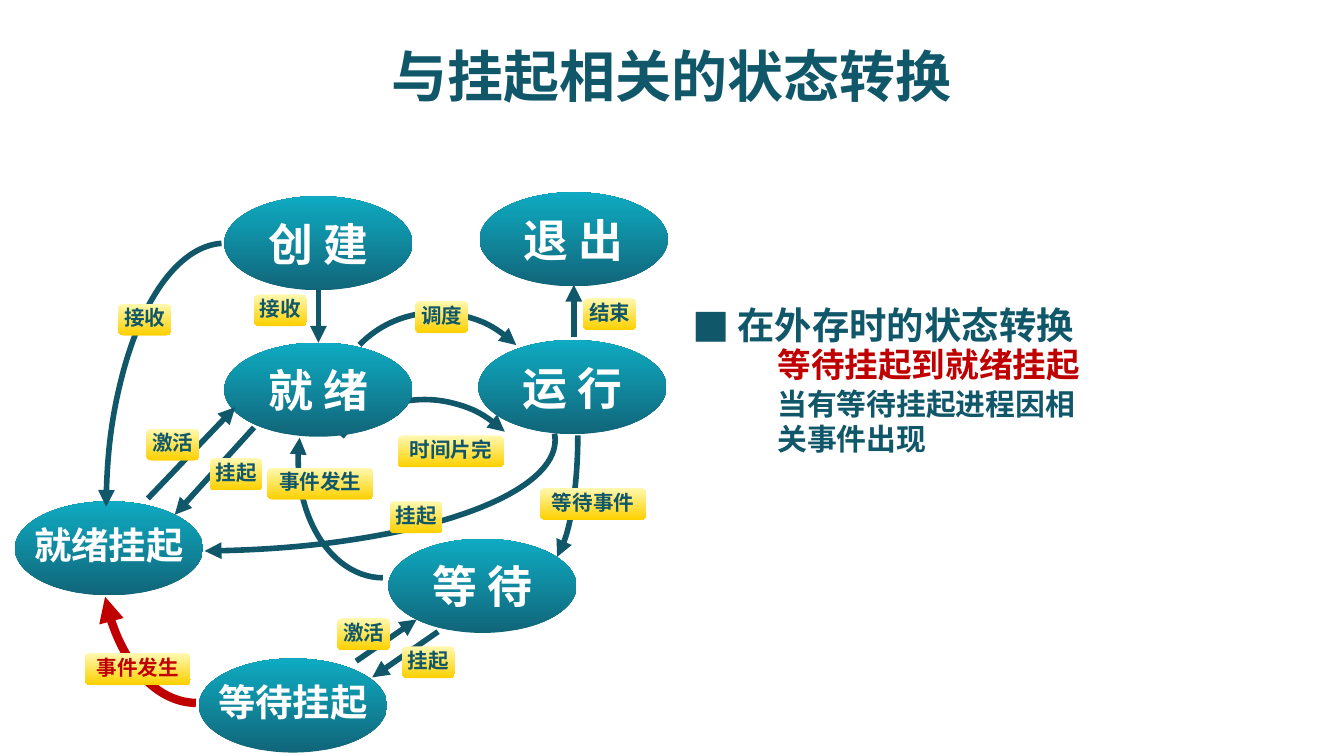
from dataclasses import dataclass

from lxml import etree
from pptx import Presentation
from pptx.dml.color import RGBColor
from pptx.enum.shapes import MSO_CONNECTOR, MSO_SHAPE
from pptx.enum.text import MSO_ANCHOR, MSO_AUTO_SIZE, PP_ALIGN
from pptx.oxml.ns import qn
from pptx.util import Pt

ARC, OVAL, ROUND = MSO_SHAPE.ARC, MSO_SHAPE.OVAL, MSO_SHAPE.ROUNDED_RECTANGLE
STRAIGHT = MSO_CONNECTOR.STRAIGHT
CENTER, LEFT = PP_ALIGN.CENTER, PP_ALIGN.LEFT
MIDDLE, TOP = MSO_ANCHOR.MIDDLE, MSO_ANCHOR.TOP


@dataclass(frozen=True)
class Theme:
    font: str = "Noto Sans CJK SC"
    bullet_font: str = "Noto Sans CJK JP"
    ink: str = "11576A"
    accent: str = "C00000"
    white: str = "FFFFFF"
    state_fill: tuple = ((0, "116579"), (77, "0F9BB1"), (100, "0EABC2"))
    label_fill: tuple = ((0, "FFF9B1"), (100, "FDD000"))
    title: int = 30
    state: int = 24
    long_state: int = 20
    heading: int = 20
    subheading: int = 18
    body: int = 16
    label: int = 11
    line: float = 3
    thick_line: float = 4.5


T = Theme()

# State name, left, top
STATE_W, STATE_H = 100.8, 50.4
STATES = [
    ("创 建", 112.2, 2.1), ("就 绪", 112.2, 80.6), ("运 行", 248.3, 79.2),
    ("等 待", 200.1, 185.7), ("退 出", 249, 0),
    ("就绪挂起", 0, 165.6), ("等待挂起", 98.6, 249.8),
]

# Box, start and end adjustments, rotation, flips, arrow end, colour, width
BACK_ARCS = [
    ((265.6, 59.7, 36, 141.1), (0.08, 50.35), 0, "", "tailEnd", T.ink, T.line),
    ((161.2, 110.1, 120.2, 123.8), (160.58, 215.56), 314, "", "tailEnd", T.ink, T.line),
    ((169.8, 63.3, 116.6, 121), (162, 0), 314, "", "tailEnd", T.ink, T.line),
]
FRONT_ARCS = [
    ((-98.7, 73.4, 388.1, 118.8), (215.38, 50.37), 0, "", "tailEnd", T.ink, T.line),
    ((151.8, 79.9, 90.7, 126.7), (207.14, 54), 0, "H", "headEnd", T.ink, T.line),
    ((46, 111.6, 103, 162), (15.68, 53.78), 0, "H", "headEnd", T.accent, T.thick_line),
    ((48.9, 27.3, 127.4, 284.4), (0.54, 53.54), 0, "HV", "headEnd", T.ink, T.line),
]

# Straight transitions: x and y of the start, x and y of the arrow tip
ARROWS = [
    (162.6, 52.5, 162.6, 80.6), (299.4, 77.7, 299.4, 49.6),
    (226.7, 235.4, 191.4, 259.9), (182.8, 251.2, 215.2, 228.9),
    (71.2, 164.1, 118, 115.2), (128.1, 126, 85.6, 172.8),
]

# Label text, left, top, colour
LABEL_CHAR_W, LABEL_H = 14.2, 17
LABELS = [
    ("挂起", 200.8, 165.6, T.ink), ("接收", 55.4, 59.7, T.ink),
    ("事件发生", 37.4, 246.9, T.accent), ("接收", 128.1, 54.7, T.ink),
    ("激活", 70.5, 126.7, T.ink), ("挂起", 104.3, 142.5, T.ink),
    ("事件发生", 135.3, 147.6, T.ink), ("激活", 172.7, 228.2, T.ink),
    ("挂起", 207.3, 243.3, T.ink), ("等待事件", 281.4, 158.4, T.ink),
    ("时间片完", 205.1, 130.3, T.ink), ("调度", 214.5, 58.3, T.ink),
    ("结束", 304.5, 56.8, T.ink),
]

# Text, size, colour, left margin, line height, space before
NOTES = [
    ("在外存时的状态转换", T.heading, T.ink, 24, 24, 0),
    ("等待挂起到就绪挂起", T.subheading, T.accent, 45.5, 19.8, 0),
    ("当有等待挂起进程因相关事件出现", T.body, T.ink, 45.5, 18.8, 1.3),
]


def add_run(p, text, size, color):
    r = p.add_run()
    r.text = text
    r.font.size, r.font.bold, r.font.name = Pt(size), True, T.font
    r.font.color.rgb = RGBColor.from_string(color)
    etree.SubElement(r.font._element, qn("a:ea"), typeface=T.font)


def setup_frame(tf, anchor, wrap, bottom=0):
    tf.auto_size, tf.word_wrap, tf.vertical_anchor = MSO_AUTO_SIZE.NONE, wrap, anchor
    tf.margin_left = tf.margin_right = tf.margin_top = 0
    tf.margin_bottom = Pt(bottom)


def place(sp, box):
    sp.left, sp.top, sp.width, sp.height = map(Pt, box)


def set_gradient(sp, stops, angle):
    sp.fill.gradient()
    sp.fill.gradient_angle = angle
    gs_list = next(sp._element.spPr.iter(qn("a:gsLst")))
    gs_list[:] = []
    for pos, color in stops:
        gs = etree.SubElement(gs_list, qn("a:gs"), pos=str(pos * 1000))
        etree.SubElement(gs, qn("a:srgbClr"), val=color)


def style_line(line, color, width, end):
    line.color.rgb = RGBColor.from_string(color)
    line.width = Pt(width)
    etree.SubElement(line._get_or_add_ln(), qn(f"a:{end}"), type="triangle")


def add_block(s, kind, box, text, size, color, stops, angle, bottom):
    sp = s.shapes.add_shape(kind, *map(Pt, box))
    sp.shadow.inherit = False
    sp.line.fill.background()
    set_gradient(sp, stops, angle)
    setup_frame(sp.text_frame, MIDDLE, False, bottom)
    p = sp.text_frame.paragraphs[0]
    p.alignment = CENTER
    add_run(p, text, size, color)


def add_arc(s, x, y, arc):
    (left, top, w, h), angles, rotation, flips, end, color, width = arc
    sp = s.shapes.add_shape(ARC, Pt(x + left), Pt(y + top), Pt(w), Pt(h))
    sp.shadow.inherit = False
    sp.fill.background()
    sp.rotation = rotation
    sp.adjustments[0], sp.adjustments[1] = angles
    for axis in flips:
        sp._element.spPr.xfrm.set(f"flip{axis}", "1")
    style_line(sp.line, color, width, end)


def add_arrow(s, x, y, arrow):
    x1, y1, x2, y2 = arrow
    cxn = s.shapes.add_connector(STRAIGHT, Pt(x + x1), Pt(y + y1), Pt(x + x2), Pt(y + y2))
    style_line(cxn.line, T.ink, T.line, "tailEnd")
    etree.SubElement(cxn._element.spPr, qn("a:effectLst"))


def build_title(s, box):
    sp = s.shapes.title
    place(sp, box)
    setup_frame(sp.text_frame, MIDDLE, True)
    p = sp.text_frame.paragraphs[0]
    p.alignment = CENTER
    add_run(p, "与挂起相关的状态转换", T.title, T.ink)


def build_notes(s, box):
    sp = s.placeholders[1]
    place(sp, box)
    tf = sp.text_frame
    setup_frame(tf, TOP, True)
    for i, (text, size, color, margin, height, before) in enumerate(NOTES):
        p = tf.paragraphs[0] if i == 0 else tf.add_paragraph()
        p.alignment, p.line_spacing = LEFT, Pt(height)
        p.space_before, p.space_after = Pt(before), Pt(0)
        add_run(p, text, size, color)
        # Only the heading carries a square bullet
        pPr = p._p.get_or_add_pPr()
        pPr.set("marL", str(Pt(margin)))
        pPr.set("indent", str(Pt(0 if i else -margin)))
        if i:
            etree.SubElement(pPr, qn("a:buNone"))
        else:
            etree.SubElement(pPr, qn("a:buFont"), typeface=T.bullet_font)
            etree.SubElement(pPr, qn("a:buChar"), char="■")


def build_diagram(s, box):
    x, y = box[:2]
    for arc in BACK_ARCS:
        add_arc(s, x, y, arc)
    # States
    for name, left, top in STATES:
        long = len(name) > 3
        add_block(s, OVAL, (x + left, y + top, STATE_W, STATE_H), name,
                  T.long_state if long else T.state, T.white, T.state_fill, 90, 4 if long else 0)
    # Transitions
    for arc in FRONT_ARCS:
        add_arc(s, x, y, arc)
    for arrow in ARROWS:
        add_arrow(s, x, y, arrow)
    # Transition labels
    for text, left, top, color in LABELS:
        add_block(s, ROUND, (x + left, y + top, LABEL_CHAR_W * len(text), LABEL_H), text,
                  T.label, color, T.label_fill, 270, 2)


def main():
    prs = Presentation()
    prs.slide_width, prs.slide_height = Pt(720), Pt(405)
    s = prs.slides.add_slide(prs.slide_layouts[1])
    build_title(s, (54, 7, 612, 66))
    build_notes(s, (371, 162, 220, 84))
    build_diagram(s, (8, 103, 350, 301))
    prs.save("out.pptx")


if __name__ == "__main__":
    main()
